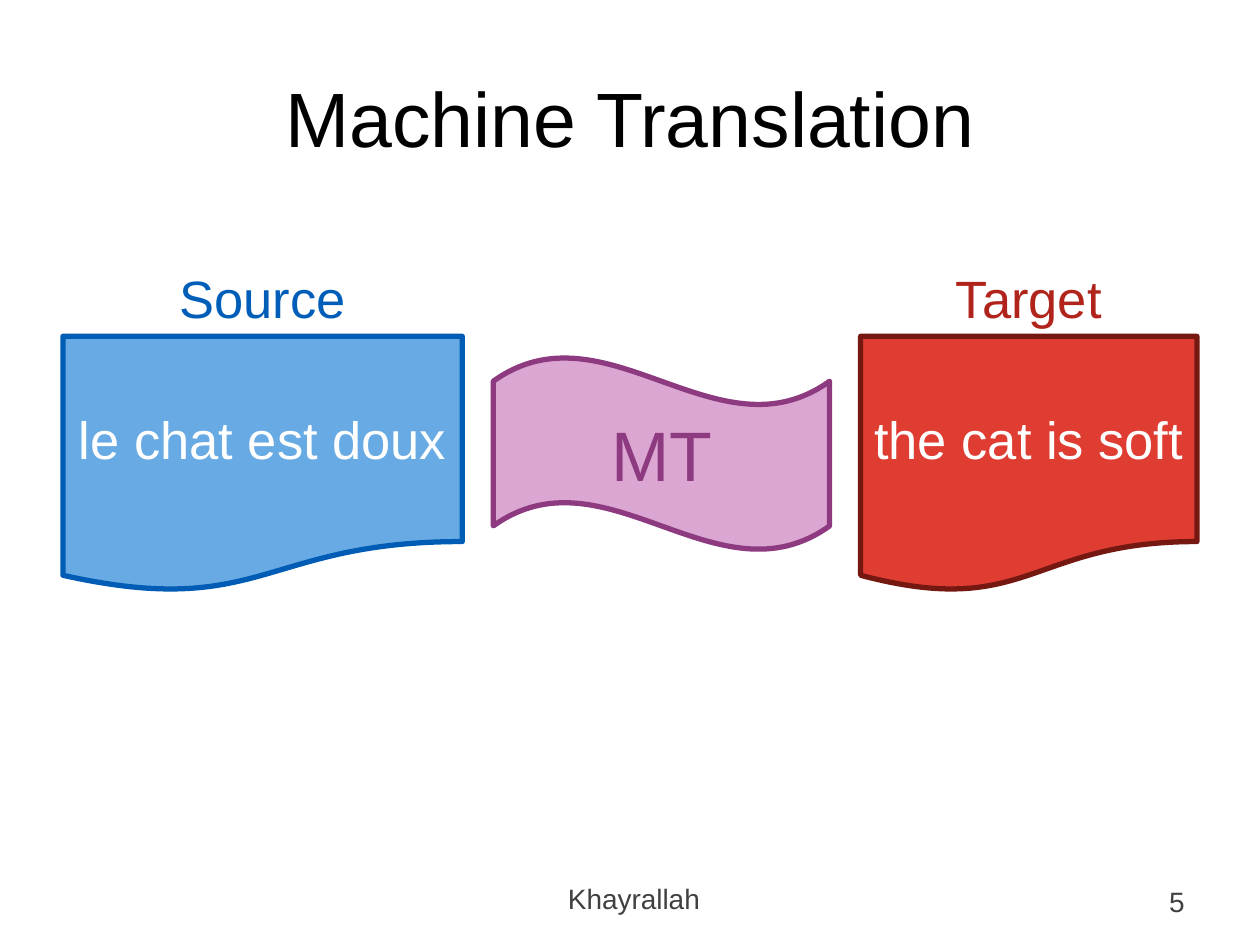
from pptx import Presentation
from pptx.dml.color import RGBColor
from pptx.enum.shapes import MSO_SHAPE
from pptx.enum.text import MSO_ANCHOR, PP_ALIGN
from pptx.util import Cm, Pt

DOCUMENT, WAVE = MSO_SHAPE.FLOWCHART_DOCUMENT, MSO_SHAPE.WAVE
TOP, MIDDLE = MSO_ANCHOR.TOP, MSO_ANCHOR.MIDDLE
CENTER, RIGHT = PP_ALIGN.CENTER, PP_ALIGN.RIGHT

BLACK = RGBColor(0x00, 0x00, 0x00)
WHITE = RGBColor(0xFF, 0xFF, 0xFF)
GREY = RGBColor(0x40, 0x40, 0x40)
SOURCE_FILL = RGBColor(0x68, 0xAB, 0xE4)
SOURCE_LINE = RGBColor(0x00, 0x5C, 0xB4)
SOURCE_TEXT = RGBColor(0x00, 0x5E, 0xB8)
TARGET_FILL = RGBColor(0xDF, 0x3C, 0x32)
TARGET_LINE = RGBColor(0x76, 0x18, 0x12)
TARGET_TEXT = RGBColor(0xB1, 0x24, 0x1C)
MT_FILL = RGBColor(0xDB, 0xA7, 0xD2)
MT_LINE = RGBColor(0x8E, 0x3A, 0x80)

# Layout in centimetres
MARGIN = 1.27
SLIDE_W, SLIDE_H = 25.4, 19.05
DOC_TOP, DOC_H = 6.78, 5.16
SOURCE_W, TARGET_W = 8.05, 6.78
TARGET_LEFT = SLIDE_W - MARGIN - TARGET_W
MT_W = TARGET_W
MT_LEFT = (MARGIN + SOURCE_W + TARGET_LEFT - MT_W) / 2
LABEL_W, LABEL_H = 4.01, 1.55
FOOTER_TOP, FOOTER_H = 17.65, 1.02


class SlideBuilder:
    font = "Arial"
    line_width = Pt(3)

    def __init__(self, slide):
        self.slide = slide

    def set_text(self, shape, text, size, color, align, anchor):
        frame = shape.text_frame
        frame.word_wrap = True
        frame.vertical_anchor = anchor
        paragraph = frame.paragraphs[0]
        paragraph.alignment = align
        run = paragraph.add_run()
        run.text = text
        run.font.name = self.font
        run.font.size = Pt(size)
        run.font.color.rgb = color

    def text(self, box, text, size, color, align=CENTER, anchor=TOP):
        shape = self.slide.shapes.add_textbox(*map(Cm, box))
        self.set_text(shape, text, size, color, align, anchor)

    def shape(self, kind, box, text, size, color, fill, line):
        shape = self.slide.shapes.add_shape(kind, *map(Cm, box))
        shape.shadow.inherit = False
        shape.fill.solid()
        shape.fill.fore_color.rgb = fill
        shape.line.color.rgb = line
        shape.line.width = self.line_width
        shape.text_frame.margin_left = shape.text_frame.margin_right = 0
        self.set_text(shape, text, size, color, CENTER, MIDDLE)

    def document(self, left, width, text, fill, line, label, label_color):
        self.shape(DOCUMENT, (left, DOC_TOP, width, DOC_H),
                   text, 30, WHITE, fill, line)
        label_left = left + (width - LABEL_W) / 2
        self.text((label_left, DOC_TOP - LABEL_H, LABEL_W, LABEL_H),
                  label, 30, label_color)


def main():
    prs = Presentation()
    prs.slide_width, prs.slide_height = Cm(SLIDE_W), Cm(SLIDE_H)
    builder = SlideBuilder(prs.slides.add_slide(prs.slide_layouts[6]))

    # Title
    builder.text((MARGIN, 0.76, SLIDE_W - 2 * MARGIN, 3.18),
                 "Machine Translation", 44, BLACK, anchor=MIDDLE)

    # Source and target sentences with the translation system between them
    builder.document(MARGIN, SOURCE_W, "le chat est doux",
                     SOURCE_FILL, SOURCE_LINE, "Source", SOURCE_TEXT)
    builder.shape(WAVE, (MT_LEFT, 7.2, MT_W, 3.89),
                  "MT", 40, MT_LINE, MT_FILL, MT_LINE)
    builder.document(TARGET_LEFT, TARGET_W, "the cat is soft",
                     TARGET_FILL, TARGET_LINE, "Target", TARGET_TEXT)

    # Footer
    builder.text((7.14, FOOTER_TOP, 11.28, FOOTER_H), "Khayrallah", 16, GREY)
    builder.text((18.21, FOOTER_TOP, 5.92, FOOTER_H), "5", 16, GREY,
                 RIGHT, MIDDLE)

    prs.save("out.pptx")


if __name__ == "__main__":
    main()
